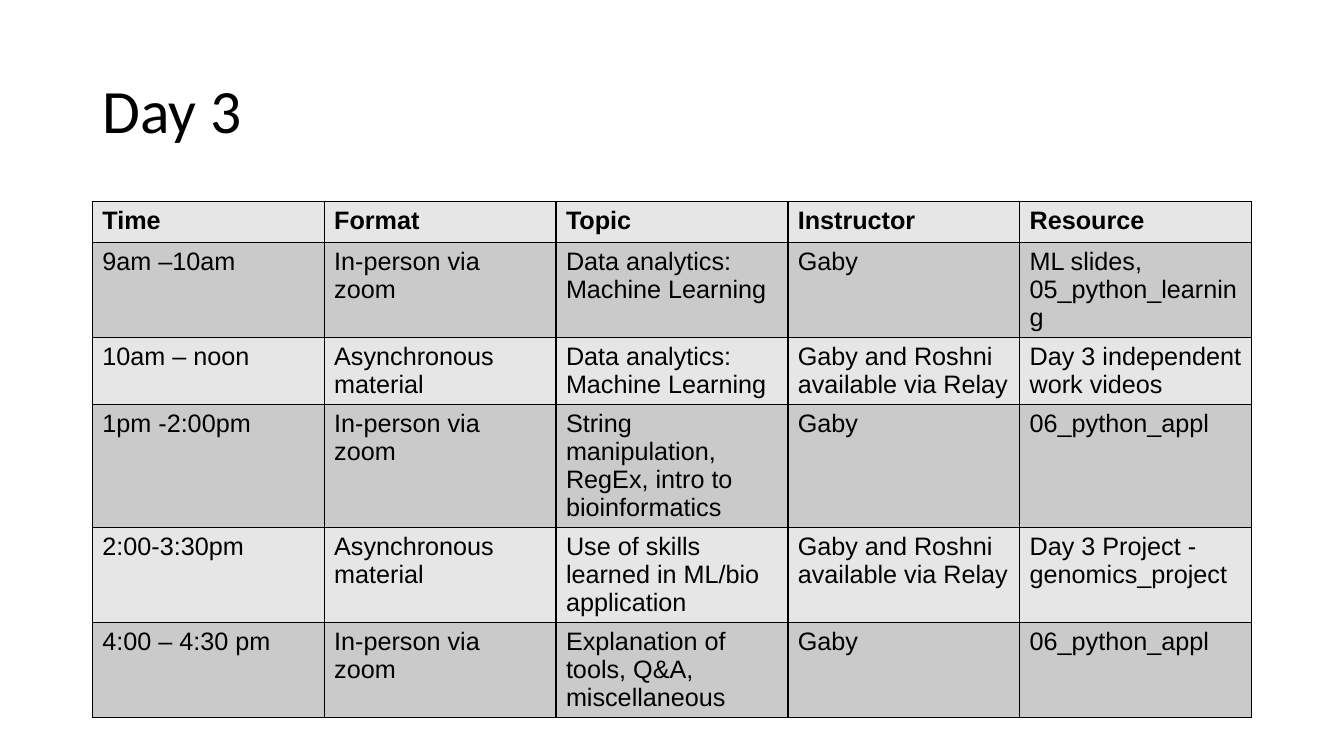
import pptx
import pptx.util
import pptx.dml.color
import pptx.enum.text
from lxml import etree
from pptx.oxml.ns import qn

Cm, Pt = pptx.util.Cm, pptx.util.Pt

SCHEDULE = [
    ["Time", "Format", "Topic", "Instructor", "Resource"],
    ["9am –10am", "In-person via zoom", "Data analytics: Machine Learning",
     "Gaby", "ML slides, 05_python_learning"],
    ["10am – noon", "Asynchronous material", "Data analytics: Machine Learning",
     "Gaby and Roshni available via Relay", "Day 3 independent work videos"],
    ["1pm -2:00pm", "In-person via zoom",
     "String manipulation, RegEx, intro to bioinformatics",
     "Gaby", "06_python_appl"],
    ["2:00-3:30pm", "Asynchronous material",
     "Use of skills learned in ML/bio application",
     "Gaby and Roshni available via Relay", "Day 3 Project - genomics_project"],
    ["4:00 – 4:30 pm", "In-person via zoom",
     "Explanation of tools, Q&A, miscellaneous", "Gaby", "06_python_appl"],
]


def rgb(value):
    return pptx.dml.color.RGBColor.from_string(value)


def set_attrs(obj, values):
    for name, value in values.items():
        setattr(obj, name, value)


class Deck:
    """Holds the style and the current slide."""
    ink = "000000"
    bands = ("E6E6E6", "CACACA")
    title_font = {"name": "Calibri", "size": Pt(44), "bold": False}
    cell_font = {"name": "Arial", "size": Pt(18)}
    insets = {"margin_left": Cm(0.25), "margin_right": Cm(0.25),
              "margin_top": Cm(0.13), "margin_bottom": Cm(0.13)}

    def __init__(self, prs):
        self.s = prs.slides.add_slide(prs.slide_layouts[5])

    def add_text(self, p, text, font):
        r = p.add_run()
        r.text = text
        set_attrs(r.font, font)
        r.font.color.rgb = rgb(self.ink)

    def title(self, text, left, top, width, height):
        sp = self.s.shapes.title
        set_attrs(sp, {"left": left, "top": top, "width": width, "height": height})
        tf = sp.text_frame
        set_attrs(tf, {**self.insets, "word_wrap": True,
                       "vertical_anchor": pptx.enum.text.MSO_ANCHOR.MIDDLE})
        p = tf.paragraphs[0]
        set_attrs(p, {"alignment": pptx.enum.text.PP_ALIGN.LEFT, "line_spacing": 0.9})
        self.add_text(p, text, self.title_font)

    def borders(self, cell):
        # Cell edges come before the fill in the cell properties
        props = cell._tc.get_or_add_tcPr()
        for i, side in enumerate(("a:lnL", "a:lnR", "a:lnT", "a:lnB")):
            ln = etree.Element(qn(side), w=str(Pt(1)))
            fill = etree.SubElement(ln, qn("a:solidFill"))
            etree.SubElement(fill, qn("a:srgbClr"), val=self.ink)
            props.insert(i, ln)

    def table(self, rows, left, top, width, row_height):
        tbl = self.s.shapes.add_table(len(rows), len(rows[0]), left, top, width,
                                      row_height * len(rows)).table
        for i, row in enumerate(rows):
            for j, text in enumerate(row):
                cell = tbl.cell(i, j)
                set_attrs(cell, self.insets)
                cell.fill.solid()
                cell.fill.fore_color.rgb = rgb(self.bands[i % 2])
                self.borders(cell)
                self.add_text(cell.text_frame.paragraphs[0], text,
                              {**self.cell_font, "bold": i == 0})


def main():
    prs = pptx.Presentation()
    set_attrs(prs, {"slide_width": Cm(33.87), "slide_height": Cm(19.05)})
    deck = Deck(prs)

    # Heading
    deck.title("Day 3", Cm(2.33), Cm(1.01), Cm(29.21), Cm(3.68))

    # Schedule
    deck.table(SCHEDULE, Cm(2.33), Cm(5.08), Cm(29.21), Cm(1.03))

    prs.save("out.pptx")


if __name__ == "__main__":
    main()
